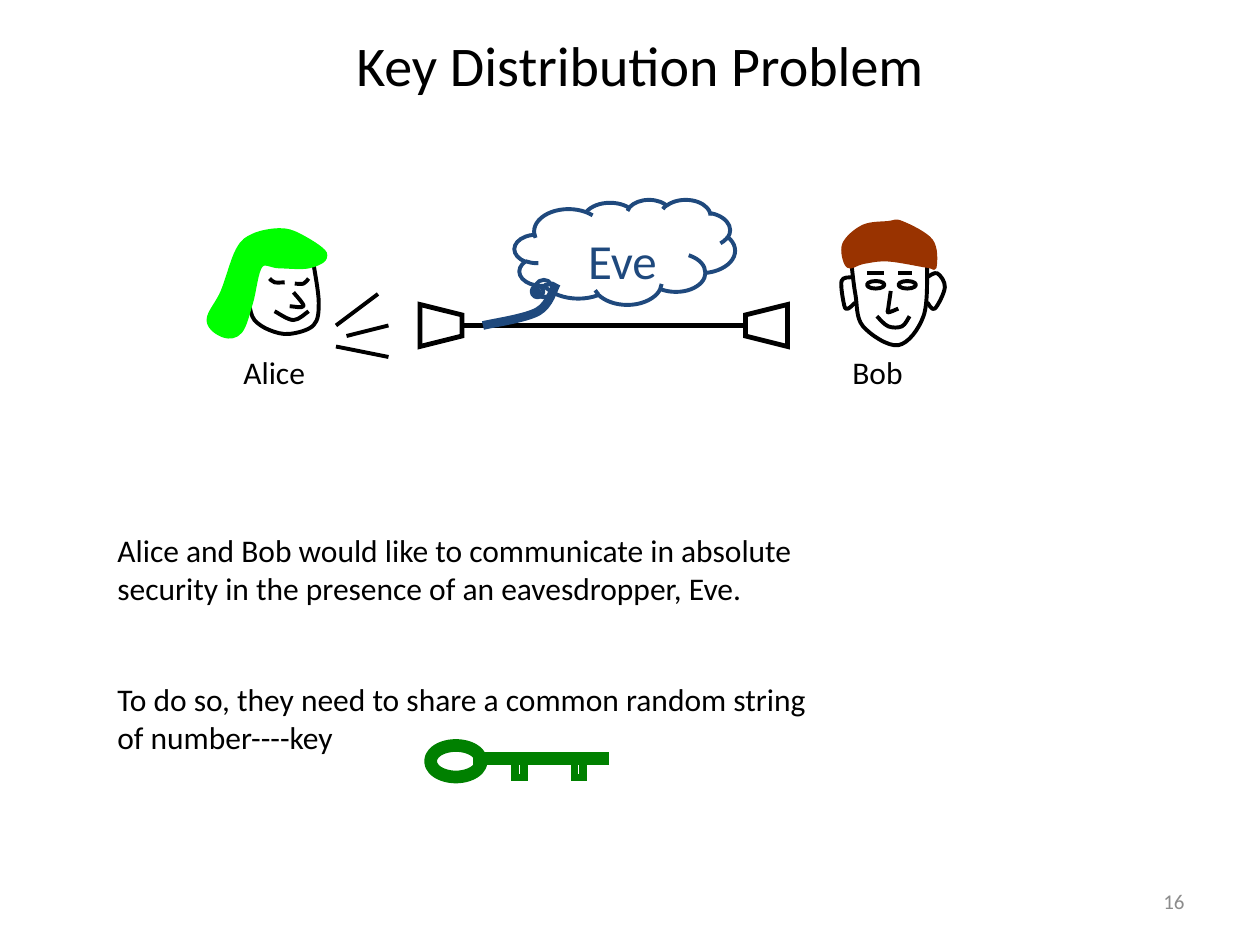
from lxml import etree
from pptx import Presentation
from pptx.dml.color import RGBColor
from pptx.enum.shapes import MSO_CONNECTOR, MSO_SHAPE
from pptx.enum.text import MSO_ANCHOR, PP_ALIGN
from pptx.oxml.ns import qn
from pptx.util import Pt

BLACK = RGBColor(0x00, 0x00, 0x00)
GRAY = RGBColor(0x8C, 0x8C, 0x8C)
LIME = RGBColor(0x00, 0xFF, 0x00)
BROWN = RGBColor(0x99, 0x33, 0x00)
NAVY = RGBColor(0x1F, 0x49, 0x7D)
GREEN = RGBColor(0x00, 0x80, 0x00)

ELLIPSE, RECTANGLE = MSO_SHAPE.OVAL, MSO_SHAPE.RECTANGLE
CLOUD = MSO_SHAPE.CLOUD_CALLOUT
STRAIGHT = MSO_CONNECTOR.STRAIGHT
LEFT, CENTER, RIGHT = PP_ALIGN.LEFT, PP_ALIGN.CENTER, PP_ALIGN.RIGHT
TOP, MIDDLE = MSO_ANCHOR.TOP, MSO_ANCHOR.MIDDLE

FONT = "Calibri"
THIN, MEDIUM, KEY_LINE, TOOTH_LINE = 2.25, 2.75, 7.25, 4.5

# Text: lines, box, size, colour, alignment, anchor, wrap
TITLE = (["Key Distribution Problem"], (77.8, 18, 576, 37.4), 32, BLACK, CENTER, MIDDLE, True)
NUMBER = (["16"], (516, 500.4, 168, 28.8), 12, GRAY, RIGHT, MIDDLE, True)
GOAL = (["Alice and Bob would like to communicate in absolute",
         "security in the presence of an eavesdropper, Eve."],
        (60, 300, 531, 51), 18, BLACK, LEFT, TOP, True)
NEED = (["To do so, they need to share a common random string",
         "of number----key"],
        (60, 385, 582, 51), 18, BLACK, LEFT, TOP, True)
ALICE_NAME = (["Alice"], (132, 198, 50, 29), 18, BLACK, LEFT, TOP, False)
BOB_NAME = (["Bob"], (480, 198, 44, 29), 18, BLACK, LEFT, TOP, False)
EVE_NAME = (["Eve"], (329, 128, 54, 41), 28, NAVY, LEFT, TOP, False)

# Faces: each feature is a smooth curve through a few knots,
# counted in face units from the top left corner of the face
FACE_UNIT = 0.72
ALICE = {
    "corner": (120.2, 131.8), "hair color": LIME, "hair line": 4.25,
    "hair": [(55, 1), (35, 5), (23, 16), (11, 49), (0, 71), (11, 82), (23, 79),
             (31, 57), (39, 27), (55, 27), (78, 27), (90, 19), (70, 5)],
    "features": {
        "jaw": [(31, 60), (35, 71), (47, 79), (63, 82), (82, 75), (86, 57), (82, 27)],
        "left eye": [(47, 38), (51, 41), (59, 41)],
        "right eye": [(67, 42), (74, 42), (78, 38)],
        "nose": [(66, 49), (74, 60), (63, 60)],
        "mouth": [(51, 64), (66, 71), (78, 64)],
    },
}
BOB = {
    "corner": (480.2, 126), "hair color": BROWN, "hair line": THIN,
    "hair": [(38, 2), (18, 5), (3, 19), (6, 36), (18, 33), (38, 31), (69, 36),
             (75, 36), (72, 16), (49, 2)],
    "features": {
        "jaw": [(9, 36), (12, 59), (18, 84), (46, 99), (66, 76), (69, 36)],
        "nose": [(40, 56), (38, 70), (38, 73), (46, 70)],
        "mouth": [(29, 76), (38, 84), (49, 84), (55, 76)],
        "left ear": [(9, 45), (1, 48), (3, 67), (6, 70), (12, 65)],
        "right ear": [(69, 45), (77, 42), (83, 53), (75, 70), (69, 65)],
    },
}

# Bob's open eyes: left edge and brow width
BOB_EYES = [(495.4, 10), (513.4, 8)]
BROW_Y, EYE_Y, EYE_WIDTH, EYE_HEIGHT = 156.2, 160.6, 10, 4.3

# Channel: a horn at each end of a wire, wide side outwards
WIRE_LEFT, WIRE_RIGHT, WIRE_Y = 264, 426, 186
HORN_LENGTH, HORN_WIDE, HORN_NARROW = 24, 12, 6
VOICE = [(192, 186, 216, 168), (198, 192, 222, 186), (192, 198, 222, 204)]

# Eve
WIRETAP = [(276, 186), (307.4, 178), (318, 162)]
CLOUD_BOX, CLOUD_TAIL = (294, 114, 126, 60), (-0.4, 0.38)

# Key
KEY_BOW = (246, 426, 29, 18)
SHAFT_LEFT, SHAFT_RIGHT, SHAFT_Y = 270, 348, 433.5
TOOTH_LEFTS, TOOTH_WIDTH, TOOTH_HEIGHT = (294.5, 328.3), 5, 10.8


def add_text(shapes, lines, box, size, color, alignment, anchor, wrap):
    frame = shapes.add_textbox(*map(Pt, box)).text_frame
    frame.word_wrap = wrap
    frame.vertical_anchor = anchor
    for index, line in enumerate(lines):
        paragraph = frame.add_paragraph() if index else frame.paragraphs[0]
        paragraph.alignment = alignment
        run = paragraph.add_run()
        run.text = line
        run.font.name, run.font.size = FONT, Pt(size)
        run.font.color.rgb = color


def style(shape, color, width, fill=None, sharp=False):
    shape.shadow.inherit = False
    shape.line.color.rgb, shape.line.width = color, Pt(width)
    if fill is None:
        shape.fill.background()
    else:
        shape.fill.solid()
        shape.fill.fore_color.rgb = fill
    if sharp:
        outline = shape.element.spPr.find(qn("a:ln"))
        etree.SubElement(outline, qn("a:miter"), lim="800000")


def add_preset(shapes, kind, box, color, width, sharp=False):
    shape = shapes.add_shape(kind, *map(Pt, box))
    style(shape, color, width, sharp=sharp)
    return shape


def add_line(shapes, ends, color, width):
    line = shapes.add_connector(STRAIGHT, *map(Pt, ends))
    line.line.color.rgb, line.line.width = color, Pt(width)
    etree.SubElement(line.element.spPr, qn("a:effectLst"))


def add_outline(shapes, points, closed):
    corners = [(Pt(x), Pt(y)) for x, y in points]
    builder = shapes.build_freeform(*corners[0])
    builder.add_line_segments(corners[1:], close=closed)
    return builder.convert_to_shape()


def spline(knots, closed):
    """Catmull-Rom rule: the tangent at a knot is parallel to its neighbours' chord."""
    if closed:
        padded = [knots[-1], *knots, *knots[:2]]
    else:
        padded = [knots[0], *knots, knots[-1]]
    points = [padded[1]]
    for before, start, end, after in zip(padded, padded[1:], padded[2:], padded[3:]):
        leave = tuple(s + (e - b) / 6 for b, s, e in zip(before, start, end))
        arrive = tuple(e - (a - s) / 6 for s, e, a in zip(start, end, after))
        points += [leave, arrive, end]
    return points


def add_curve(shapes, knots, color, width, fill=None):
    closed = fill is not None
    shape = add_outline(shapes, spline(knots, closed), closed)
    # Every three straight segments become one cubic segment
    segments = list(shape.element.iter(qn("a:lnTo")))
    for start in range(0, len(segments) - 2, 3):
        cubic = etree.Element(qn("a:cubicBezTo"))
        segments[start].addprevious(cubic)
        for segment in segments[start:start + 3]:
            cubic.append(segment[0])
            segment.getparent().remove(segment)
    style(shape, color, width, fill)


def add_face(shapes, face):
    left, top = face["corner"]

    def place(knots):
        return [(left + x * FACE_UNIT, top + y * FACE_UNIT) for x, y in knots]

    group = shapes.add_group_shape().shapes
    hair_color = face["hair color"]
    for knots in face["features"].values():
        add_curve(group, place(knots), BLACK, THIN)
    add_curve(group, place(face["hair"]), hair_color, face["hair line"], hair_color)
    return group


presentation = Presentation()
presentation.slide_width, presentation.slide_height = Pt(720), Pt(540)
slide = presentation.slides.add_slide(presentation.slide_layouts[6])
shapes = slide.shapes

for text in (NUMBER, NEED, TITLE, GOAL, ALICE_NAME, BOB_NAME):
    add_text(shapes, *text)

# Alice and Bob
add_face(shapes, ALICE)
bob = add_face(shapes, BOB)
for left, brow_width in BOB_EYES:
    add_line(bob, (left, BROW_Y, left + brow_width, BROW_Y), BLACK, THIN)
    add_preset(bob, ELLIPSE, (left, EYE_Y, EYE_WIDTH, EYE_HEIGHT), BLACK, THIN)

# Channel and Alice's voice
for narrow_x, outwards in ((WIRE_LEFT, -1), (WIRE_RIGHT, 1)):
    wide_x = narrow_x + outwards * HORN_LENGTH
    corners = [(wide_x, WIRE_Y + HORN_WIDE), (narrow_x, WIRE_Y + HORN_NARROW),
               (narrow_x, WIRE_Y - HORN_NARROW), (wide_x, WIRE_Y - HORN_WIDE)]
    style(add_outline(shapes, corners, True), BLACK, MEDIUM, sharp=True)
add_line(shapes, (WIRE_LEFT, WIRE_Y, WIRE_RIGHT, WIRE_Y), BLACK, MEDIUM)
for ends in VOICE:
    add_line(shapes, ends, BLACK, THIN)

# Eve tapping the channel
add_curve(shapes, WIRETAP, NAVY, 5)
eve = shapes.add_group_shape().shapes
cloud = add_preset(eve, CLOUD, CLOUD_BOX, NAVY, THIN)
cloud.adjustments[0], cloud.adjustments[1] = CLOUD_TAIL
add_text(eve, *EVE_NAME)

# Key
key = shapes.add_group_shape().shapes
add_preset(key, ELLIPSE, KEY_BOW, GREEN, KEY_LINE)
add_line(key, (SHAFT_LEFT, SHAFT_Y, SHAFT_RIGHT, SHAFT_Y), GREEN, KEY_LINE)
for left in TOOTH_LEFTS:
    tooth = (left, SHAFT_Y, TOOTH_WIDTH, TOOTH_HEIGHT)
    add_preset(key, RECTANGLE, tooth, GREEN, TOOTH_LINE, sharp=True)

presentation.save("out.pptx")
